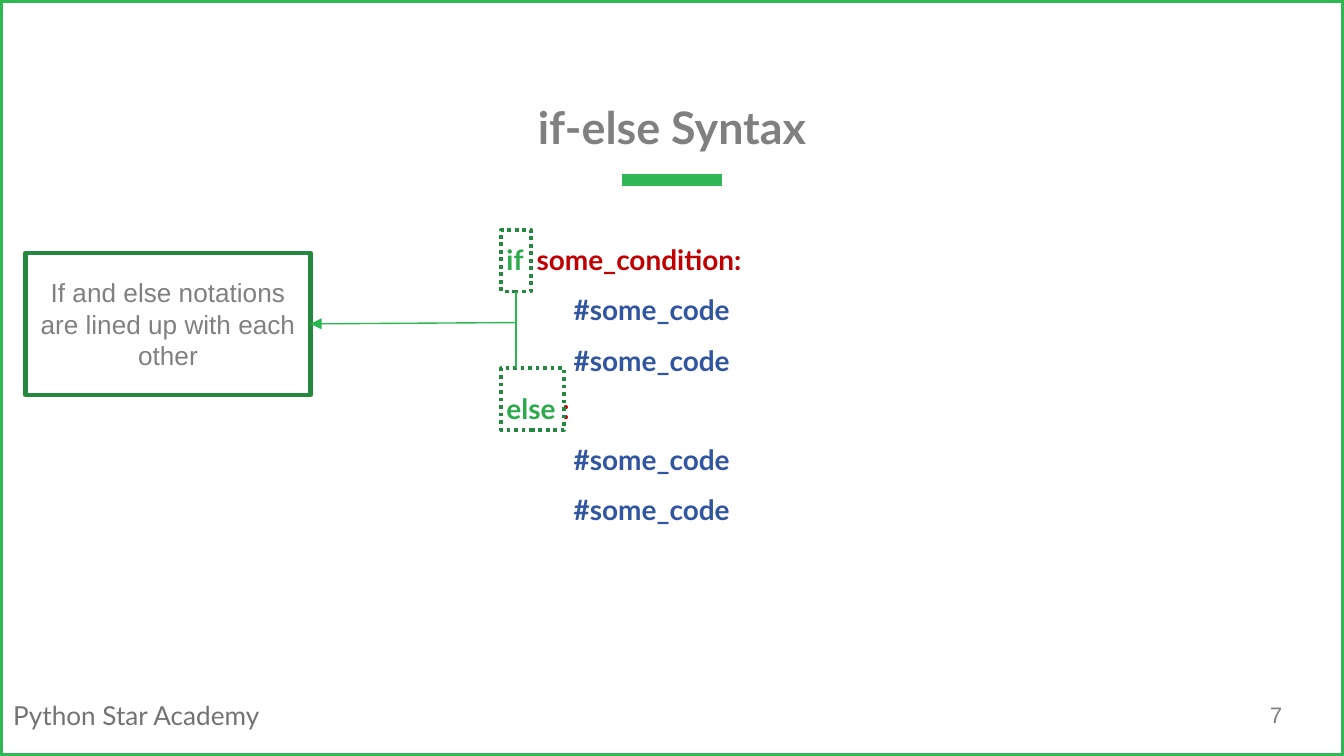
import pptx
import pptx.dml.color
import pptx.enum.dml
import pptx.enum.shapes
import pptx.enum.text
import pptx.oxml
import pptx.oxml.ns
import pptx.util

Inches = pptx.util.Inches
Pt = pptx.util.Pt
ALIGN = pptx.enum.text.PP_ALIGN
ANCHOR = pptx.enum.text.MSO_ANCHOR

WIDTH = 10
HEIGHT = WIDTH * 9 / 16
BRIGHT, DARK, ARROW = "30B854", "24883E", "2CB751"
KEYWORD, CONDITION, COMMENT = "2CAA4C", "C00000", "31569F"
GRAY = "808080"
CODE = {"size": Pt(15), "name": "Lato", "bold": True}


def color(value):
    return pptx.dml.color.RGBColor.from_string(value)


def add_run(paragraph, text, font_color, formats):
    run = paragraph.add_run()
    run.text = text
    for name, value in formats.items():
        setattr(run.font, name, value)
    run.font.color.rgb = color(font_color)
    return run


def set_frame(frame, anchor=ANCHOR.TOP, inset=0.1):
    formats = {
        "word_wrap": True,
        "vertical_anchor": anchor,
        "margin_left": Inches(0.1),
        "margin_right": Inches(0.1),
        "margin_top": Inches(inset),
        "margin_bottom": Inches(inset),
    }
    for name, value in formats.items():
        setattr(frame, name, value)


def add_text_box(slide, box, anchor=ANCHOR.TOP, inset=0.1):
    frame = slide.shapes.add_textbox(*map(Inches, box)).text_frame
    set_frame(frame, anchor, inset)
    return frame


def add_label(slide, box, text, font_color, formats, align=ALIGN.LEFT, **frame_formats):
    paragraph = add_text_box(slide, box, **frame_formats).paragraphs[0]
    paragraph.alignment = align
    add_run(paragraph, text, font_color, formats)


def add_outline(slide, box, line_color, width, dash=None):
    shape = slide.shapes.add_shape(
        pptx.enum.shapes.MSO_SHAPE.RECTANGLE, *map(Inches, box))
    shape.shadow.inherit = False
    shape.fill.background()
    shape.line.color.rgb = color(line_color)
    shape.line.width = Pt(width)
    if dash:
        shape.line.dash_style = dash
    return shape


def add_line(slide, start, end, line_color, width):
    connector = slide.shapes.add_connector(
        pptx.enum.shapes.MSO_CONNECTOR.STRAIGHT, *map(Inches, start + end))
    connector.line.color.rgb = color(line_color)
    connector.line.width = Pt(width)
    properties = connector._element.spPr
    properties.append(pptx.oxml.parse_xml(
        "<a:effectLst %s/>" % pptx.oxml.ns.nsdecls("a")))
    return connector


def add_border_and_footer(slide, box):
    left, top, width, height = box
    add_label(slide, (left, top + height - 0.47, 2.55, 0.34), "Python Star Academy",
              "737373", {"size": Pt(14), "name": "Lato"}, inset=0.05)
    add_outline(slide, box, BRIGHT, 3)
    add_label(slide, (left + width - 0.65, top + height - 0.52, 0.6, 0.43), "7",
              GRAY, {"size": Pt(12), "name": "Arial"}, anchor=ANCHOR.MIDDLE)


def add_title(slide, box):
    left, top, width, height = box
    add_label(slide, box, "if-else Syntax", GRAY,
              {"size": Pt(24), "name": "Lato", "bold": True},
              align=ALIGN.CENTER, anchor=ANCHOR.BOTTOM)
    middle, bar_top = left + width / 2, top + height + 0.1
    add_line(slide, (middle - 0.37, bar_top), (middle + 0.37, bar_top), BRIGHT, 6)


def add_code_block(slide, box, keyword, rest, gap):
    """Write a branch header and two indented lines; gap widens the space, in points."""
    frame = add_text_box(slide, box)
    header = frame.paragraphs[0]
    header.line_spacing = 1.5
    add_run(header, keyword, KEYWORD, CODE)
    space = add_run(header, " ", KEYWORD, CODE)
    space._r.get_or_add_rPr().set("spc", str(round(gap * 100)))
    add_run(header, rest, CONDITION, CODE)
    for _ in range(2):
        paragraph = frame.add_paragraph()
        paragraph.level = 1
        paragraph.line_spacing = 1.5
        properties = paragraph._p.get_or_add_pPr()
        properties.set("marL", str(Inches(0.5)))
        properties.set("indent", "0")
        add_run(paragraph, "#some_code", COMMENT, CODE)


def add_callout(slide, box):
    callout = add_outline(slide, box, DARK, 2.25)
    set_frame(callout.text_frame, ANCHOR.MIDDLE, 0.05)
    paragraph = callout.text_frame.paragraphs[0]
    paragraph.alignment = ALIGN.CENTER
    add_run(paragraph, "If and else notations are lined up with each other", GRAY,
            {"size": Pt(14), "name": "Arial"})
    return callout


def add_alignment_marks(slide, box, callout):
    """Frame both keywords, link the frames and point from the link to the callout."""
    left, top, width, height = box
    dots = pptx.enum.dml.MSO_LINE.ROUND_DOT
    keyword_height, if_width = 0.46, 0.22
    else_top = top + height - keyword_height
    if_frame = add_outline(slide, (left, top, if_width, keyword_height), DARK, 2, dots)
    add_outline(slide, (left, else_top, width, keyword_height), DARK, 2, dots)
    spine = left + if_width / 2
    link = add_line(slide, (spine, top + keyword_height), (spine, else_top), ARROW, 0.75)
    link.begin_connect(if_frame, 2)
    branch = top + 0.69
    arrow = add_line(slide, (spine, branch), (spine - 1.53, branch), ARROW, 0.75)
    arrow.end_connect(callout, 3)
    arrow.line._get_or_add_ln().append(pptx.oxml.parse_xml(
        '<a:tailEnd %s type="triangle"/>' % pptx.oxml.ns.nsdecls("a")))


def main():
    presentation = pptx.Presentation()
    presentation.slide_width = Inches(WIDTH)
    presentation.slide_height = Inches(HEIGHT)
    slide = presentation.slides.add_slide(presentation.slide_layouts[6])
    add_border_and_footer(slide, (0, 0, WIDTH, HEIGHT))
    add_title(slide, (0, 0.24, WIDTH, 1))
    add_code_block(slide, (3.67, 1.58, 2.24, 1.34), "if", "some_condition:", 3.3)
    add_code_block(slide, (3.67, 2.69, 2.53, 1.34), "else", ":", 0)
    callout = add_callout(slide, (0.19, 1.88, 2.12, 1.06))
    add_alignment_marks(slide, (3.73, 1.71, 0.47, 1.49), callout)
    presentation.save("out.pptx")


if __name__ == "__main__":
    main()
